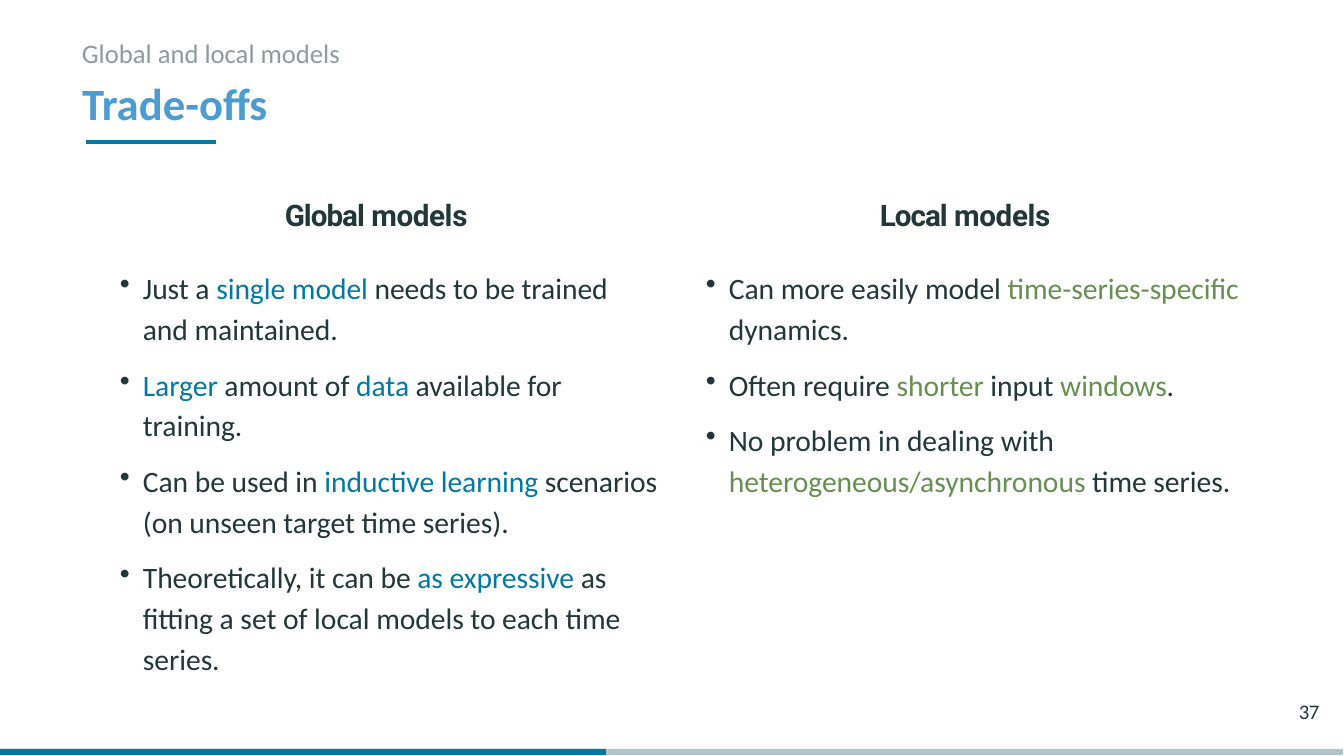
from lxml.etree import SubElement
from pptx import Presentation
from pptx.dml.color import RGBColor
from pptx.enum.shapes import MSO_CONNECTOR, MSO_SHAPE
from pptx.enum.text import MSO_ANCHOR, MSO_AUTO_SIZE, PP_ALIGN
from pptx.oxml.ns import qn
from pptx.util import Emu, Pt

COLORS = {
    "text": "22373A",
    "kicker": "909B9D",
    "title": "4B9CD3",
    "blue": "007AA5",
    "green": "678F51",
    "track": "B2C4CB",
}
BODY_FONT, HEADING_FONT = "Calibri", "Roboto"

GLOBAL_POINTS = [
    "Just a *single model* needs to be trained\nand maintained.",
    "*Larger* amount of *data* available for\ntraining.",
    "Can be used in *inductive learning* scenarios\n(on unseen target time series).",
    "Theoretically, it can be *as expressive* as\n"
    "fitting a set of local models to each time\nseries.",
]
LOCAL_POINTS = [
    "Can more easily model *time-series-specific*\ndynamics.",
    "Often require *shorter* input *windows*.",
    "No problem in dealing with\n*heterogeneous/asynchronous* time series.",
]


def px(count):
    return Emu(count * 4293)


def rgb(name):
    return RGBColor.from_string(COLORS[name])


def prepare_frame(shape, left, top, width, height):
    """Place a text shape and remove its margins."""
    shape.left, shape.top = px(left), px(top)
    shape.width, shape.height = px(width), px(height)
    frame = shape.text_frame
    frame.margin_left = frame.margin_top = frame.margin_right = frame.margin_bottom = 0
    frame.vertical_anchor = MSO_ANCHOR.TOP
    frame.auto_size = MSO_AUTO_SIZE.NONE
    frame.word_wrap = True
    return frame


def add_box(page, *place):
    return prepare_frame(page.shapes.add_textbox(0, 0, 0, 0), *place)


def add_span(para, text, size, color, font=BODY_FONT, bold=False, spacing=0):
    span = para.add_run()
    span.text = text
    span.font.name, span.font.size, span.font.bold = font, Pt(size), bold
    span.font.color.rgb = rgb(color)
    if spacing:
        span.font._element.set("spc", str(spacing))


def add_bullet(frame, text, accent, space_before):
    """Add a bullet; asterisks enclose the accented words."""
    para = frame.add_paragraph()
    para.space_before = Pt(space_before)
    para.line_spacing = 1.15
    props = para._p.get_or_add_pPr()
    props.set("marL", str(px(26)))
    props.set("indent", str(px(-23)))
    bullet_color = SubElement(props, qn("a:buClr"))
    SubElement(bullet_color, qn("a:srgbClr")).set("val", COLORS["text"])
    SubElement(props, qn("a:buChar")).set("char", "•")
    for index, part in enumerate(text.split("*")):
        color = accent if index % 2 else "text"
        for row, words in enumerate(part.split("\n")):
            if row:
                para.add_line_break()
            if words:
                add_span(para, words, 10, color)


def add_column(page, left, height, heading, heading_indent, points, accent):
    frame = add_box(page, left, 197, 558, height)
    para = frame.paragraphs[0]
    para._p.get_or_add_pPr().set("marL", str(px(heading_indent)))
    add_span(para, heading + " ", 10, "text", HEADING_FONT, True, -30)
    add_span(para, "models", 10, "text", HEADING_FONT, True, -10)
    for index, point in enumerate(points):
        add_bullet(frame, point, accent, 5 if index else 10.9)


def add_title(page, text):
    para = prepare_frame(page.shapes.title, 82, 76, 600, 56).paragraphs[0]
    para.alignment = PP_ALIGN.LEFT
    add_span(para, text, 15.1, "title", bold=True)


def add_rule(page, left, right, y):
    rule = page.shapes.add_connector(MSO_CONNECTOR.STRAIGHT, px(left), px(y), px(right), px(y))
    rule.line.color.rgb = rgb("blue")
    rule.line.width = Pt(1.6)
    SubElement(rule._element.spPr, qn("a:effectLst"))


def add_bar(page, width, color):
    bar = page.shapes.add_shape(MSO_SHAPE.RECTANGLE, 0, px(749), px(width), px(6))
    bar.shadow.inherit = False
    bar.fill.solid()
    bar.fill.fore_color.rgb = rgb(color)
    bar.line.fill.background()


def main():
    deck = Presentation()
    deck.slide_width, deck.slide_height = px(1344), px(756)
    page = deck.slides.add_slide(deck.slide_layouts[5])

    kicker = add_box(page, 82, 37, 400, 36)
    add_span(kicker.paragraphs[0], "Global and local models", 9, "kicker")
    add_title(page, "Trade-offs")
    add_rule(page, 86, 216, 142)

    add_column(page, 117, 484, "Global", 168, GLOBAL_POINTS, "blue")
    add_column(page, 703, 307, "Local", 177, LOCAL_POINTS, "green")

    add_bar(page, 1343, "track")
    add_bar(page, 606, "blue")
    number = add_box(page, 1299, 699, 30, 30)
    add_span(number.paragraphs[0], "37", 7, "text", spacing=-20)

    deck.save("out.pptx")


if __name__ == "__main__":
    main()
